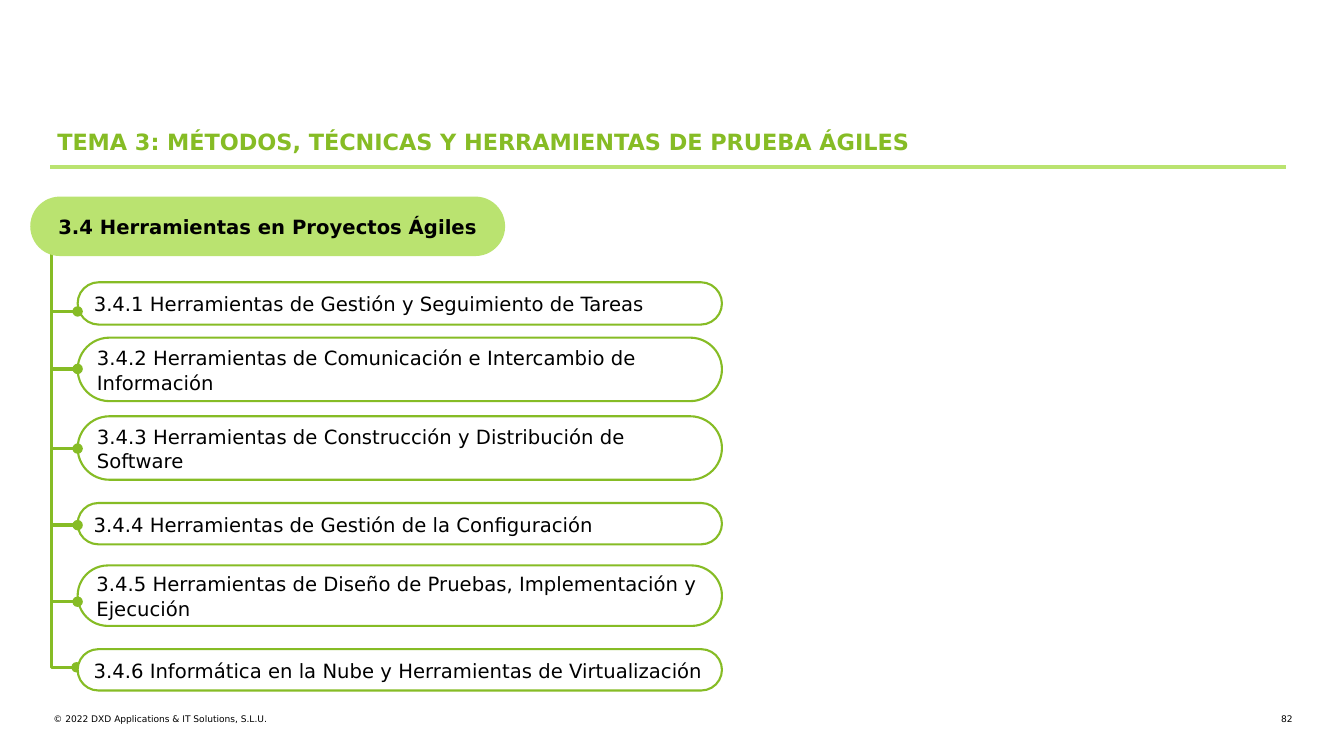
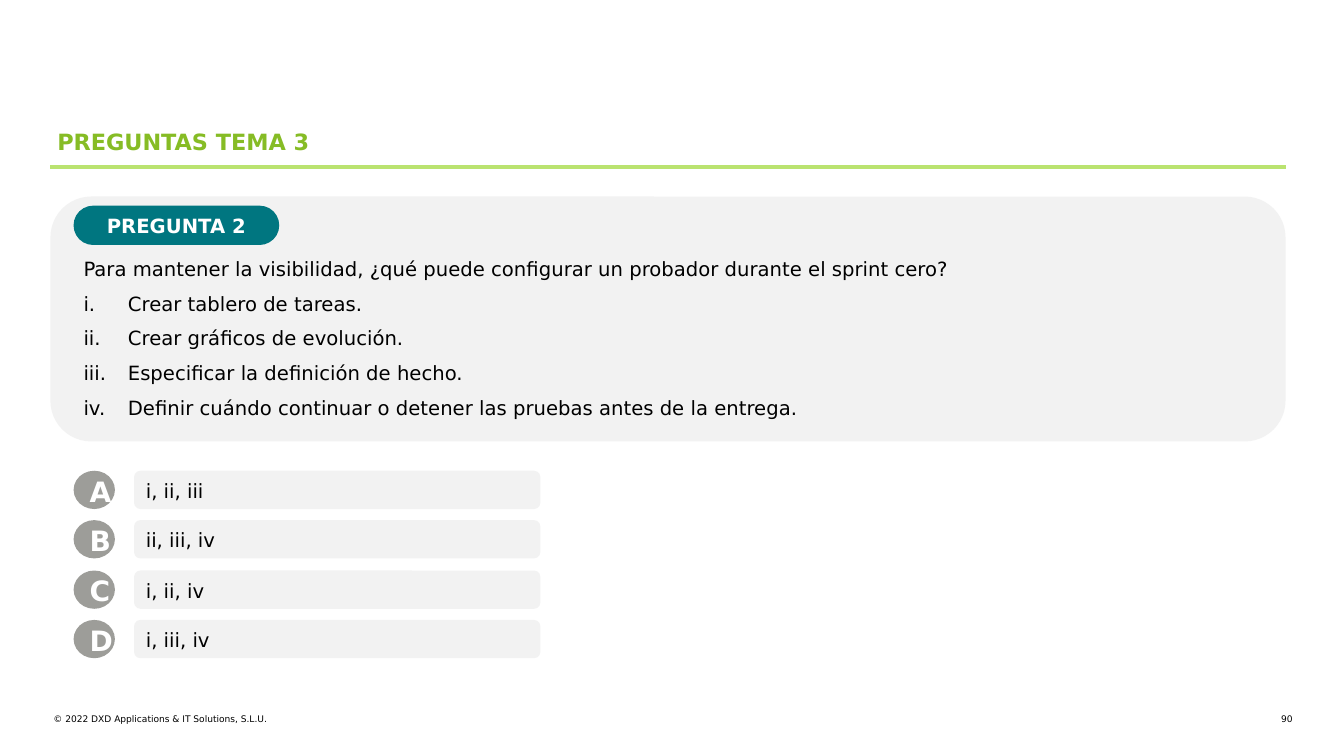
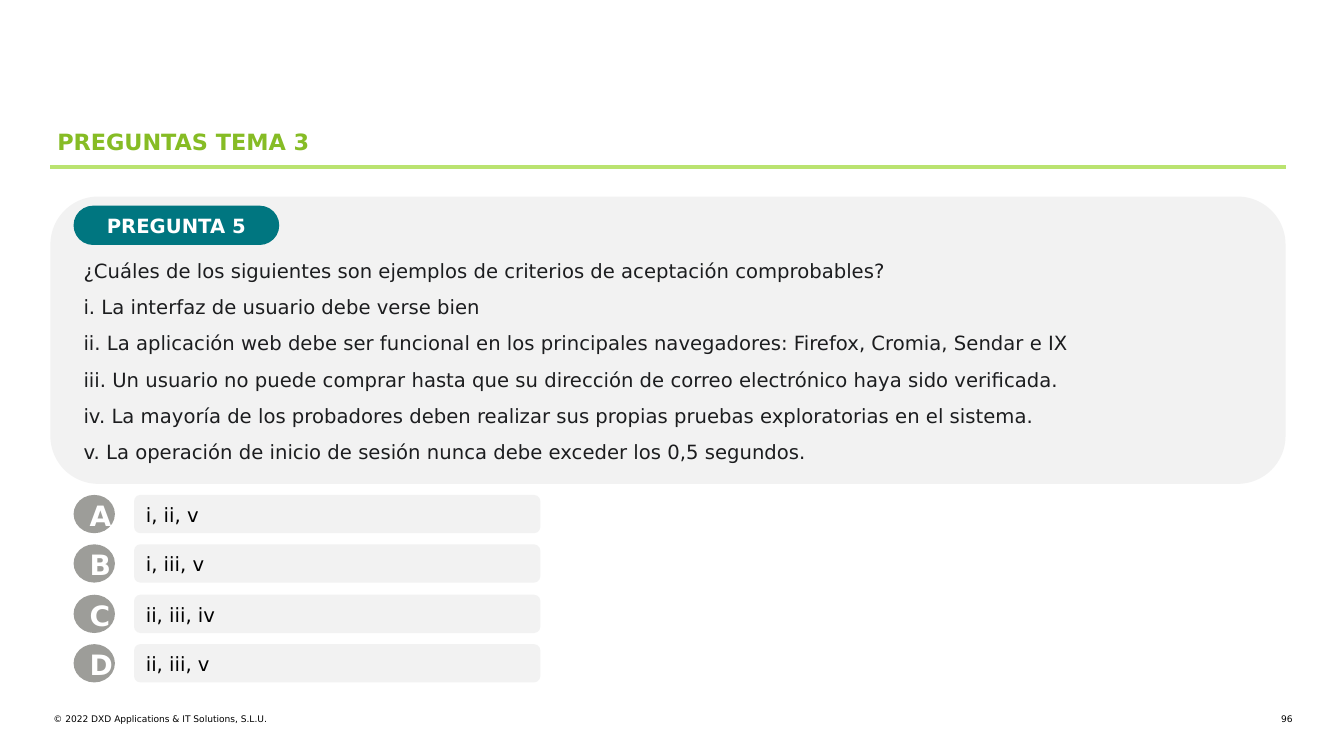
import pptx
import pptx.util
import pptx.dml.color
import pptx.enum.shapes
import pptx.enum.text
import pptx.oxml.ns
from lxml import etree

SHAPE = pptx.enum.shapes.MSO_SHAPE
LINK = pptx.enum.shapes.MSO_CONNECTOR
ALIGN = pptx.enum.text.PP_ALIGN
ANCHOR = pptx.enum.text.MSO_ANCHOR
GROW = pptx.enum.text.MSO_AUTO_SIZE.SHAPE_TO_FIT_TEXT
Pt = pptx.util.Pt
qn = pptx.oxml.ns.qn

GREEN, LIME, TEAL = "86BC25", "BAE370", "007680"
GRAY, PALE = "9D9D99", "F2F2F2"
BLACK, INK, WHITE = "000000", "1C1D1F", "FFFFFF"


def px(num):
    """100 px to the inch."""
    return pptx.util.Emu(num * 9144)


def rgb(code):
    return pptx.dml.color.RGBColor.from_string(code)


def apply(item, **values):
    for key, value in values.items():
        setattr(item, key, value)


def add(node, tag, **values):
    return etree.SubElement(node, qn(tag), **values)


class Deck:
    font = "DejaVu Sans"

    def __init__(self):
        self.show = pptx.Presentation()
        apply(self.show, slide_width=px(1333), slide_height=px(750))
        self.slide = None

    # Text shared by boxes and shapes
    def label(self, frame, lines, size=14, color=BLACK, bold=False,
              pad=(10, 5), indent=0, number=False, **para):
        apply(frame, word_wrap=True, margin_left=px(pad[0]),
              margin_right=px(pad[0]), margin_top=px(pad[1]),
              margin_bottom=px(pad[1]))
        for i, line in enumerate(lines):
            p = frame.paragraphs[0] if i == 0 else frame.add_paragraph()
            p.text = line
            apply(p, **para)
            props = p._p.get_or_add_pPr()
            if indent:
                props.set("marL", str(px(indent)))
                props.set("indent", "0")
            if number and i:
                props.set("marL", str(px(44)))
                props.set("indent", str(px(-44)))
                add(props, "a:buFont", typeface="+mj-lt")
                add(props, "a:buAutoNum", type="romanLcPeriod")
            for run in p.runs:
                apply(run.font, name=self.font, size=Pt(size), bold=bold)
                run.font.color.rgb = rgb(color)

    def text(self, at, lines, **style):
        box = self.slide.shapes.add_textbox(*map(px, at))
        self.label(box.text_frame, lines, **style)
        box.text_frame.auto_size = GROW

    def shape(self, kind, at, fill, words="", edge=None, adj=None, **style):
        form = self.slide.shapes.add_shape(kind, *map(px, at))
        form.shadow.inherit = False
        form.fill.solid()
        form.fill.fore_color.rgb = rgb(fill)
        if edge:
            form.line.color.rgb = rgb(edge)
            form.line.width = Pt(1.5)
        else:
            form.line.fill.background()
        if adj is not None:
            form.adjustments[0] = adj
        if words:
            form.text_frame.vertical_anchor = ANCHOR.MIDDLE
            style = {"alignment": ALIGN.LEFT, **style}
            self.label(form.text_frame, [words], pad=(10, 10),
                       line_spacing=1.06, **style)

    def line(self, ends, color, width, dot=False, elbow=False):
        kind = LINK.ELBOW if elbow else LINK.STRAIGHT
        link = self.slide.shapes.add_connector(kind, *map(px, ends))
        link.line.color.rgb = rgb(color)
        link.line.width = Pt(width)
        props = link.element.spPr
        if dot:
            add(props.find(qn("a:ln")), "a:tailEnd", type="oval")
        if elbow:  # go straight down first, then turn right
            guides = props.find(qn("a:prstGeom")).find(qn("a:avLst"))
            add(guides, "a:gd", name="adj1", fmla="val 0")
        add(props, "a:effectLst")

    # Frame of every slide
    def page(self, title, number, width):
        self.slide = self.show.slides.add_slide(self.show.slide_layouts[6])
        small = {"size": 6.5, "pad": (0, 0)}
        self.text((53, 708, 586, 11),
                  ["© 2022 DXD Applications & IT Solutions, S.L.U."], **small)
        self.text((1248, 708, 34, 11), [str(number)],
                  alignment=ALIGN.RIGHT, **small)
        self.line((50, 166, 1275, 166), LIME, 3)
        self.text((17, 122, width, 37), [title], size=16, color=GREEN,
                  bold=True, indent=30)

    # Section heading with its branches
    def tree(self, head, rows):
        trunk = 51
        self.line((trunk, 248, 76, 662), GREEN, 2.5, dot=True, elbow=True)
        for words, top, high, mid in rows:
            self.shape(SHAPE.ROUNDED_RECTANGLE, (77, top, 639, high), WHITE,
                       words, edge=GREEN, adj=0.5)
            if mid:
                self.line((trunk, mid, 77, mid), GREEN, 2.5, dot=True)
        self.shape(SHAPE.ROUNDED_RECTANGLE, (30, 195, 471, 59), LIME, head,
                   adj=0.5, bold=True, alignment=ALIGN.CENTER)

    # Question panel with lettered answers
    def quiz(self, name, high, lines, top, answers, **style):
        self.shape(SHAPE.ROUNDED_RECTANGLE, (50, 195, 1225, high), PALE)
        self.shape(SHAPE.ROUNDED_RECTANGLE, (73, 204, 204, 39), TEAL, name,
                   adj=0.5, color=WHITE, bold=True, alignment=ALIGN.CENTER)
        self.text((73, 250, 1198, high - 70), lines, space_after=Pt(8),
                  **style)
        for i, (mark, words) in enumerate(zip("ABCD", answers)):
            y = top + round(49.4 * i)
            self.shape(SHAPE.ROUNDED_RECTANGLE, (133, y, 403, 38), PALE,
                       words)
            self.shape(SHAPE.OVAL, (73, y, 41, 38), GRAY, mark, size=20,
                       color=WHITE, bold=True, alignment=ALIGN.CENTER)


def main():
    deck = Deck()

    # Tools in agile projects: words, top, height, branch height
    deck.page("TEMA 3: MÉTODOS, TÉCNICAS Y HERRAMIENTAS DE PRUEBA ÁGILES",
              82, 914)
    deck.tree("3.4 Herramientas en Proyectos Ágiles", [
        ("3.4.1 Herramientas de Gestión y Seguimiento de Tareas",
         280, 42, 309),
        ("3.4.2 Herramientas de Comunicación e Intercambio de Información",
         335, 63, 366),
        ("3.4.3 Herramientas de Construcción y Distribución de Software",
         413, 63, 445),
        ("3.4.4 Herramientas de Gestión de la Configuración",
         499, 41, 521),
        ("3.4.5 Herramientas de Diseño de Pruebas, Implementación y "
         "Ejecución", 561, 60, 597),
        ("3.4.6 Informática en la Nube y Herramientas de Virtualización",
         644, 41, None),
    ])

    # Question 2
    deck.page("PREGUNTAS TEMA 3", 90, 576)
    deck.quiz("PREGUNTA 2", 243, [
        "Para mantener la visibilidad, ¿qué puede configurar un probador "
        "durante el sprint cero?",
        "Crear tablero de tareas.",
        "Crear gráficos de evolución.",
        "Especificar la definición de hecho.",
        "Definir cuándo continuar o detener las pruebas antes de la entrega.",
    ], 467, ["i, ii, iii", "ii, iii, iv", "i, ii, iv", "i, iii, iv"],
        number=True)

    # Question 5
    deck.page("PREGUNTAS TEMA 3", 96, 576)
    deck.quiz("PREGUNTA 5", 285, [
        "¿Cuáles de los siguientes son ejemplos de criterios de aceptación "
        "comprobables?",
        "i. La interfaz de usuario debe verse bien",
        "ii. La aplicación web debe ser funcional en los principales "
        "navegadores: Firefox, Cromia, Sendar e IX",
        "iii. Un usuario no puede comprar hasta que su dirección de correo "
        "electrónico haya sido verificada.",
        "iv. La mayoría de los probadores deben realizar sus propias pruebas "
        "exploratorias en el sistema.",
        "v. La operación de inicio de sesión nunca debe exceder los 0,5 "
        "segundos.",
    ], 491, ["i, ii, v", "i, iii, v", "ii, iii, iv", "ii, iii, v"],
        color=INK, line_spacing=1.07)

    deck.show.save("out.pptx")


if __name__ == "__main__":
    main()
